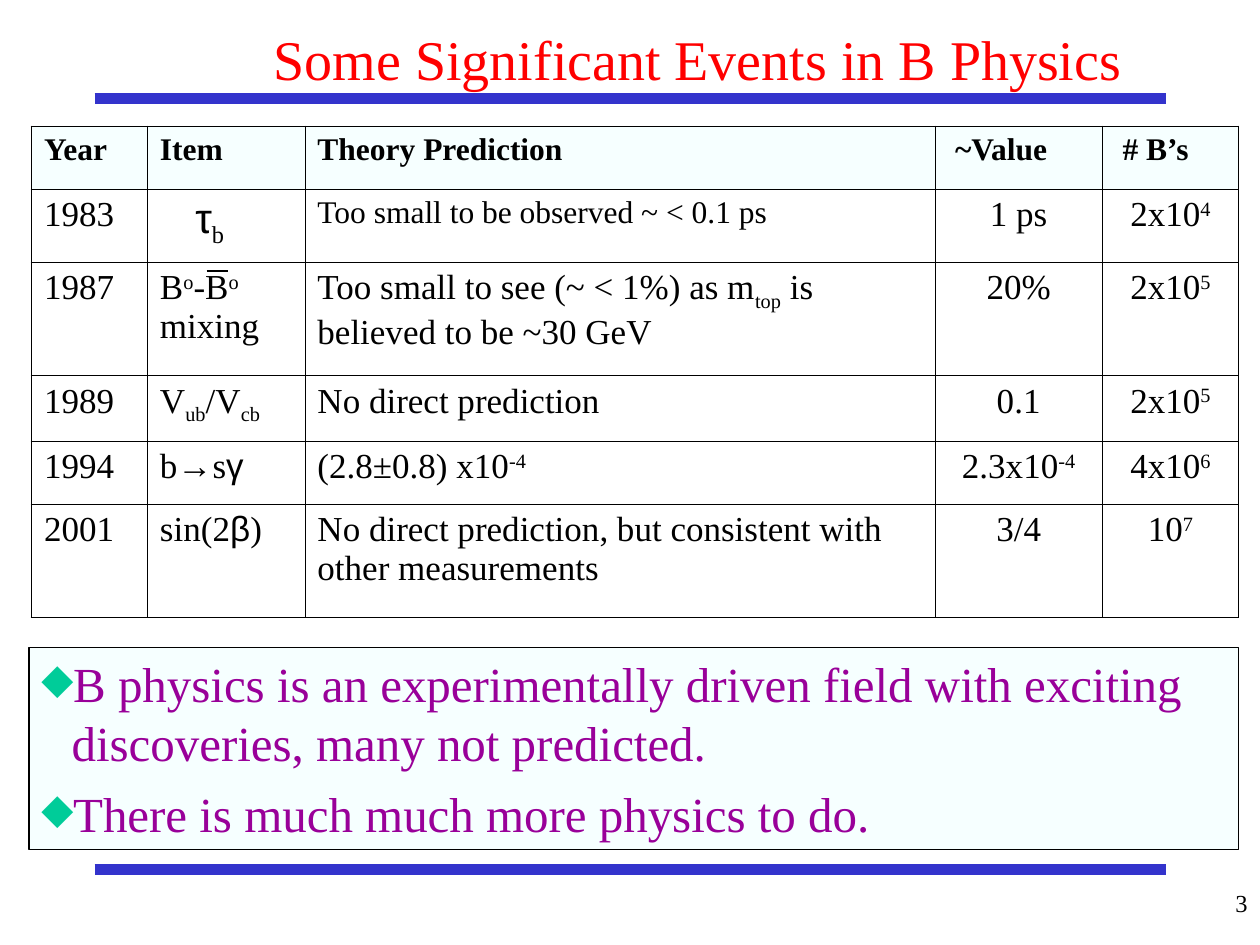
"""Build the slide on significant events in B physics, with a table and two conclusions."""
from dataclasses import dataclass
from typing import Any

from lxml import etree
from pptx import Presentation
from pptx.dml.color import RGBColor
from pptx.enum.shapes import MSO_CONNECTOR, MSO_SHAPE
from pptx.enum.text import MSO_ANCHOR, PP_ALIGN
from pptx.oxml.ns import qn
from pptx.util import Emu, Pt

EMU_PER_PX = 9144
STRAIGHT = MSO_CONNECTOR.STRAIGHT
RECTANGLE = MSO_SHAPE.RECTANGLE
TOP, MIDDLE = MSO_ANCHOR.TOP, MSO_ANCHOR.MIDDLE
LEFT, CENTER, RIGHT = PP_ALIGN.LEFT, PP_ALIGN.CENTER, PP_ALIGN.RIGHT
SERIF, SANS = "Times New Roman", "Arial"
SUPERSCRIPT, SUBSCRIPT = 30, -25
THIN, THICK = 0.45, 1.08
COLORS = {"title": "FF0000", "rule": "3333CC", "ink": "000000",
          "panel": "EFFFFF", "conclusion": "990099", "bullet": "00CC99"}
COLUMN_WIDTHS = [92, 125, 500, 133, 108]
ROW_HEIGHTS = [50, 58, 90, 52, 50, 90]


@dataclass(frozen=True)
class TextRun:
    """A stretch of text in one font and baseline."""
    text: str
    baseline: int = 0
    font: str = SERIF


@dataclass(frozen=True)
class CellText:
    """The runs of one table cell and how they are set."""
    runs: tuple[TextRun, ...]
    size: int = 20
    alignment: Any = LEFT
    indent: int = 0
    bold: bool = False


@dataclass(frozen=True)
class Rule:
    """A straight horizontal line."""
    left: int
    right: int
    y: int
    color: str
    width: float


def header(text: str, indent: int = 0) -> CellText:
    """Describe a heading cell."""
    return CellText((TextRun(text),), 18, indent=indent, bold=True)


def plain(text: str, size: int = 20, alignment: Any = LEFT) -> CellText:
    """Describe a cell with a single run."""
    return CellText((TextRun(text),), size, alignment)


def power(base: str, exponent: str, alignment: Any = CENTER) -> CellText:
    """Describe a cell holding a number with an exponent."""
    return CellText((TextRun(base), TextRun(exponent, SUPERSCRIPT)), alignment=alignment)


def mixed(*runs: TextRun) -> CellText:
    """Describe a left-aligned cell with several runs."""
    return CellText(runs)


ROWS = [
    [header("Year"), header("Item"), header("Theory Prediction"),
     header("~Value", 6), header("# B’s", 6)],
    [plain("1983"),
     CellText((TextRun("τ", font=SANS), TextRun("b", SUBSCRIPT)), 24, indent=28),
     plain("Too small to be observed ~ < 0.1 ps", 18),
     plain("1 ps", alignment=CENTER), power("2x10", "4")],
    [plain("1987"),
     mixed(TextRun("B"), TextRun("o", SUPERSCRIPT), TextRun("-B"),
           TextRun("o", SUPERSCRIPT), TextRun(" mixing")),
     mixed(TextRun("Too small to see (~ < 1%) as m"), TextRun("top", SUBSCRIPT),
           TextRun(" is believed to be ~30 GeV")),
     plain("20%", alignment=CENTER), power("2x10", "5")],
    [plain("1989"),
     mixed(TextRun("V"), TextRun("ub", SUBSCRIPT), TextRun("/V"), TextRun("cb", SUBSCRIPT)),
     plain("No direct prediction"),
     plain("0.1", alignment=CENTER), power("2x10", "5")],
    [plain("1994"),
     mixed(TextRun("b"), TextRun("→", font=SANS), TextRun("s"), TextRun("γ", font=SANS)),
     power("(2.8±0.8) x10", "-4", LEFT), power("2.3x10", "-4"), power("4x10", "6")],
    [plain("2001"),
     mixed(TextRun("sin(2"), TextRun("β", font=SANS), TextRun(")")),
     plain("No direct prediction, but consistent with other measurements"),
     plain("3/4", alignment=CENTER), power("10", "7")],
]
CONCLUSIONS = [
    "B physics is an experimentally driven field with exciting discoveries, many not predicted.",
    "There is much much more physics to do.",
]
MASTER_RULES = [Rule(75, 925, y, "rule", 6) for y in (690, 78)]
ANTIPARTICLE_BAR = Rule(164, 181, 215, "ink", 0.75)


def px(length: int) -> Emu:
    """Turn px into EMU."""
    return Emu(length * EMU_PER_PX)


def rgb(name: str) -> RGBColor:
    """Look up a named colour."""
    return RGBColor.from_string(COLORS[name])


def add_run(paragraph: Any, item: TextRun, size: int, color: str, bold: bool = False) -> None:
    """Append one formatted run to a paragraph."""
    run = paragraph.add_run()
    run.text = item.text
    run.font.name, run.font.size, run.font.bold = item.font, Pt(size), bold
    run.font.color.rgb = rgb(color)
    if item.baseline:
        run._r.get_or_add_rPr().set("baseline", str(item.baseline * 1000))


def fill_panel(fill: Any, properties: Any) -> None:
    """Fill with the half-transparent panel colour."""
    fill.solid()
    fill.fore_color.rgb = rgb("panel")
    color = properties.find(qn("a:solidFill")).find(qn("a:srgbClr"))
    etree.SubElement(color, qn("a:alpha"), val="50000")


def add_rule(slide: Any, rule: Rule) -> None:
    """Draw a horizontal line without a shadow."""
    connector = slide.shapes.add_connector(
        STRAIGHT, px(rule.left), px(rule.y), px(rule.right), px(rule.y))
    connector.line.color.rgb = rgb(rule.color)
    connector.line.width = Pt(rule.width)
    etree.SubElement(connector._element.spPr, qn("a:effectLst"))


def add_label(slide: Any, box: tuple[int, int, int, int], text: str, size: int,
              color: str, alignment: Any, anchor: Any) -> None:
    """Add a one-line text box."""
    frame = slide.shapes.add_textbox(*map(px, box)).text_frame
    frame.word_wrap = True
    frame.vertical_anchor = anchor
    paragraph = frame.paragraphs[0]
    paragraph.alignment = alignment
    add_run(paragraph, TextRun(text), size, color)


def add_border(properties: Any, side: str, width: float) -> None:
    """Draw one side of a table cell."""
    line = etree.SubElement(properties, qn(f"a:ln{side}"), w=str(int(Pt(width))))
    fill = etree.SubElement(line, qn("a:solidFill"))
    etree.SubElement(fill, qn("a:srgbClr"), val=COLORS["ink"])


def add_events_table(slide: Any) -> None:
    """Add the table of events."""
    last_row, last_column = len(ROW_HEIGHTS) - 1, len(COLUMN_WIDTHS) - 1
    table = slide.shapes.add_table(
        last_row + 1, last_column + 1, px(25), px(100),
        px(sum(COLUMN_WIDTHS)), px(sum(ROW_HEIGHTS))).table
    table.first_row = table.horz_banding = False
    for column, width in zip(table.columns, COLUMN_WIDTHS):
        column.width = px(width)
    for row_index, row in enumerate(ROWS):
        table.rows[row_index].height = px(ROW_HEIGHTS[row_index])
        for column_index, content in enumerate(row):
            cell = table.cell(row_index, column_index)
            properties = cell._tc.get_or_add_tcPr()
            outer = {"L": column_index == 0, "R": column_index == last_column,
                     "T": False, "B": row_index == last_row}
            for side, is_outer in outer.items():
                add_border(properties, side, THICK if is_outer else THIN)
            if row_index == 0:
                fill_panel(cell.fill, properties)
            else:
                cell.fill.background()
            paragraph = cell.text_frame.paragraphs[0]
            paragraph.alignment = content.alignment
            paragraph._p.get_or_add_pPr().set("marL", str(px(content.indent)))
            for item in content.runs:
                add_run(paragraph, item, content.size, "ink", content.bold)


def add_conclusions(slide: Any) -> None:
    """Add the framed panel of bulleted conclusions."""
    shape = slide.shapes.add_shape(RECTANGLE, px(23), px(514), px(960), px(160))
    shape.shadow.inherit = False
    fill_panel(shape.fill, shape._element.spPr)
    shape.line.color.rgb = rgb("ink")
    shape.line.width = Pt(0.75)
    frame = shape.text_frame
    frame.word_wrap = True
    frame.vertical_anchor = TOP
    for index, text in enumerate(CONCLUSIONS):
        paragraph = frame.add_paragraph() if index else frame.paragraphs[0]
        properties = paragraph._p.get_or_add_pPr()
        properties.set("marL", str(px(24)))
        properties.set("indent", str(px(-24)))
        color = etree.SubElement(properties, qn("a:buClr"))
        etree.SubElement(color, qn("a:srgbClr"), val=COLORS["bullet"])
        etree.SubElement(properties, qn("a:buSzPct"), val="85000")
        etree.SubElement(properties, qn("a:buChar"), char="◆")
        paragraph.alignment = LEFT
        if index:
            paragraph.space_before = Pt(7)
        add_run(paragraph, TextRun(text), 28, "conclusion")


def main() -> None:
    """Build and save the presentation."""
    presentation = Presentation()
    presentation.slide_width, presentation.slide_height = px(1000), px(750)
    slide = presentation.slides.add_slide(presentation.slide_layouts[6])
    for rule in MASTER_RULES:
        add_rule(slide, rule)
    add_label(slide, (183, 17, 742, 58), "Some Significant Events in B Physics",
              32, "title", CENTER, MIDDLE)
    add_events_table(slide)
    add_rule(slide, ANTIPARTICLE_BAR)
    add_conclusions(slide)
    add_label(slide, (908, 700, 92, 42), "3", 14, "ink", RIGHT, TOP)
    presentation.save("out.pptx")


if __name__ == "__main__":
    main()
